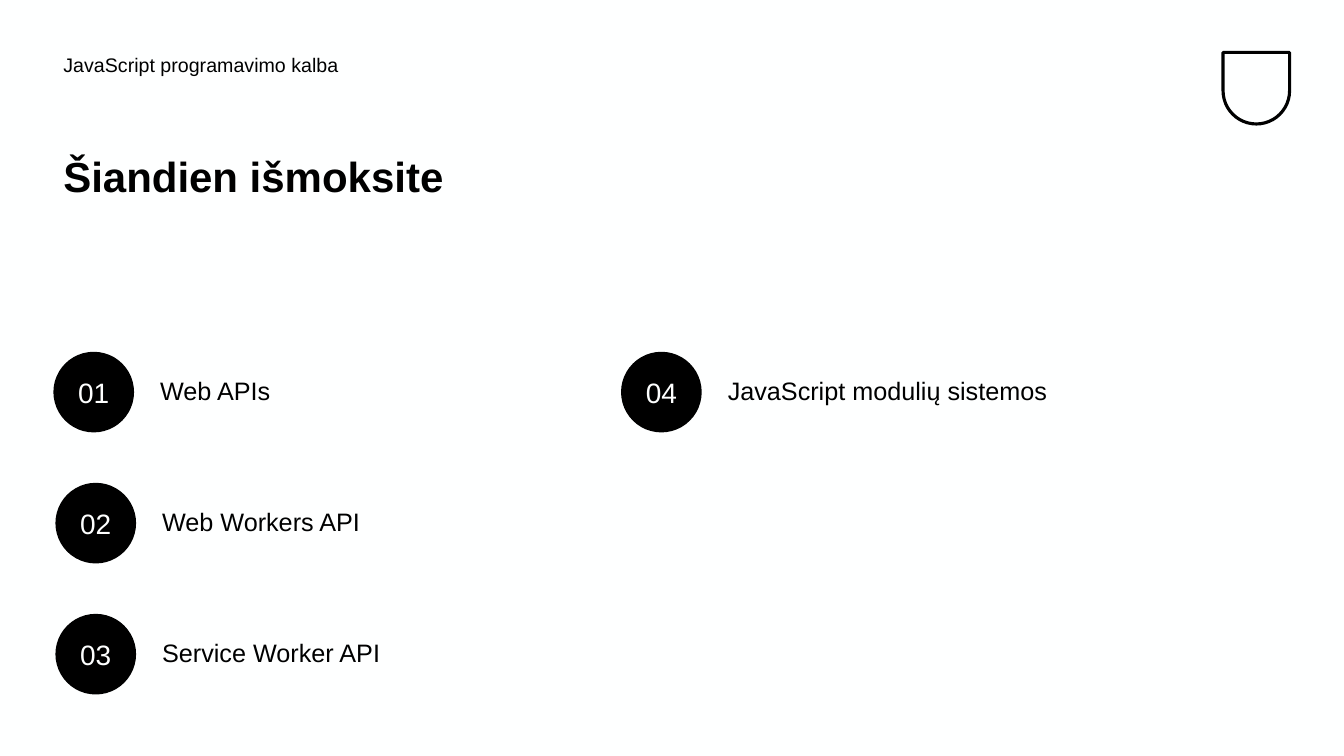
from pptx import Presentation
from pptx.dml.color import RGBColor
from pptx.enum.shapes import MSO_SHAPE
from pptx.enum.text import MSO_ANCHOR, PP_ALIGN
from pptx.util import Inches, Pt

COLORS = {"ink": "000000", "paper": "FEFFFF"}
TOPICS = [
    (0.53, 0, "Web APIs"),
    (0.55, 1, "Web Workers API"),
    (0.55, 2, "Service Worker API"),
    (6.16, 0, "JavaScript modulių sistemos"),
]
FIRST_ROW, ROW_STEP = 3.49, 1.3
CIRCLE_SIZE = 0.8


class AgendaSlide:
    """Draws the parts of an agenda slide in one shared style."""

    font_name = "Arial"

    def __init__(self, presentation):
        self.slide = presentation.slides.add_slide(presentation.slide_layouts[6])
        fill = self.slide.background.fill
        fill.solid()
        fill.fore_color.rgb = self.color("paper")

    def color(self, name):
        return RGBColor.from_string(COLORS[name])

    def set_text(self, shape, text, size, color="ink", bold=False, spacing=None):
        shape.text_frame.word_wrap = True
        paragraph = shape.text_frame.paragraphs[0]
        paragraph.text = text
        paragraph.line_spacing = spacing
        paragraph.font.name = self.font_name
        paragraph.font.size = Pt(size)
        paragraph.font.bold = bold
        paragraph.font.color.rgb = self.color(color)
        return paragraph

    def text(self, left, top, width, height, text, size, **style):
        shape = self.slide.shapes.add_textbox(
            Inches(left), Inches(top), Inches(width), Inches(height))
        self.set_text(shape, text, size, **style)

    def number_circle(self, left, top, number):
        shape = self.slide.shapes.add_shape(
            MSO_SHAPE.OVAL, Inches(left), Inches(top),
            Inches(CIRCLE_SIZE), Inches(CIRCLE_SIZE))
        shape.shadow.inherit = False
        shape.fill.solid()
        shape.fill.fore_color.rgb = self.color("ink")
        shape.line.fill.background()
        shape.text_frame.vertical_anchor = MSO_ANCHOR.MIDDLE
        paragraph = self.set_text(shape, f"{number:02d}", 20, "paper")
        paragraph.alignment = PP_ALIGN.CENTER

    def badge(self, left, top, width, height):
        shape = self.slide.shapes.add_shape(
            MSO_SHAPE.ROUND_2_SAME_RECTANGLE, Inches(left), Inches(top),
            Inches(width), Inches(height))
        shape.rotation = 180
        shape.adjustments[0] = 0.5
        shape.shadow.inherit = False
        shape.fill.background()
        shape.line.color.rgb = self.color("ink")
        shape.line.width = Pt(2.25)

    def topic(self, left, row, number, text):
        top = FIRST_ROW + row * ROW_STEP
        self.text(left + 0.96, top + 0.18, 4.63, 0.45, text, 18)
        self.number_circle(left, top, number)


def main():
    presentation = Presentation()
    presentation.slide_width = Inches(13.33)
    presentation.slide_height = Inches(7.5)

    agenda = AgendaSlide(presentation)
    agenda.badge(12.13, 0.52, 0.66, 0.71)
    agenda.text(0.53, 0.5, 7.42, 0.5, "JavaScript programavimo kalba", 14, spacing=0.9)
    agenda.text(0.53, 1.5, 5.64, 1.49, "Šiandien išmoksite", 30, bold=True, spacing=0.9)
    for number, (left, row, text) in enumerate(TOPICS, start=1):
        agenda.topic(left, row, number, text)

    presentation.save("out.pptx")


if __name__ == "__main__":
    main()
